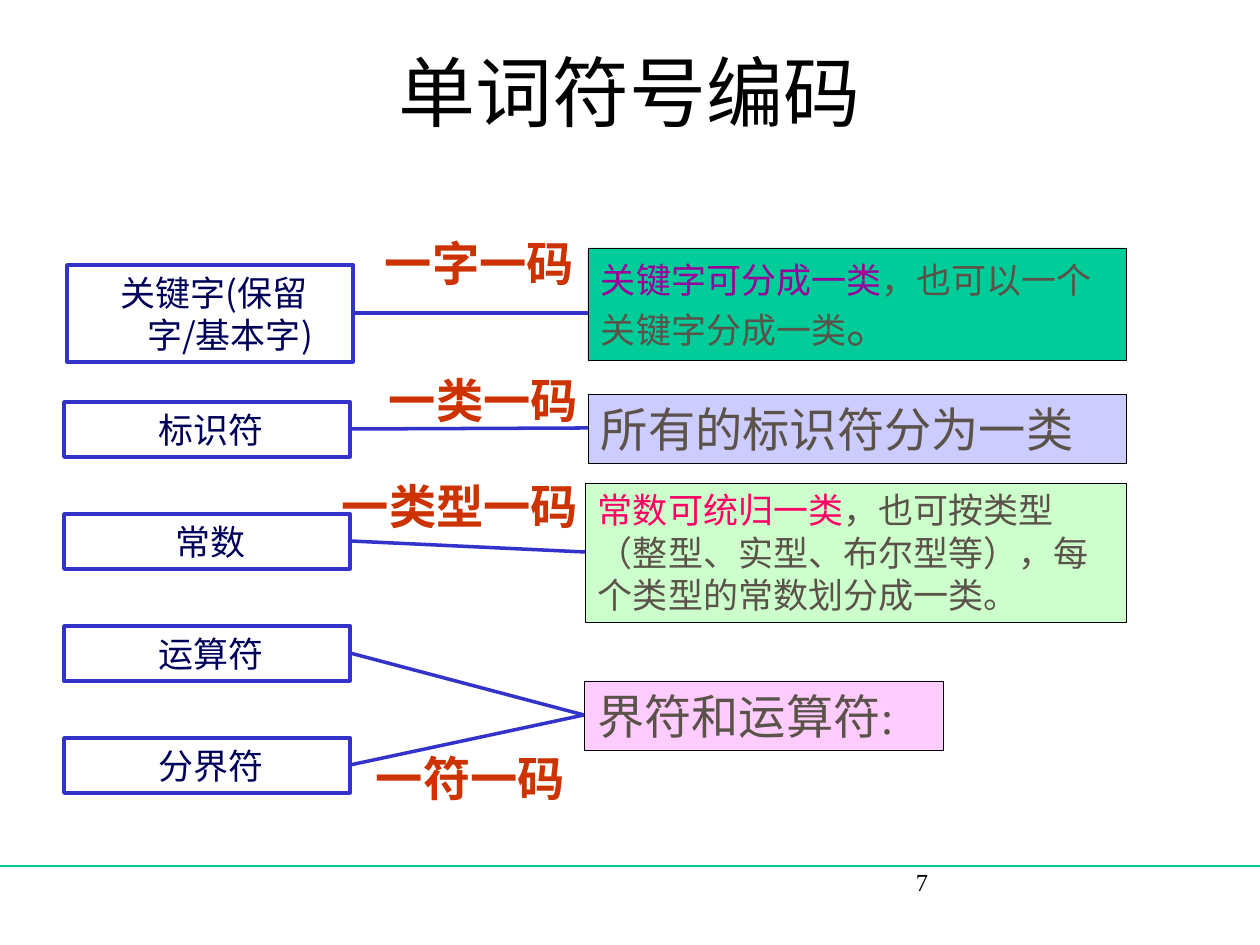
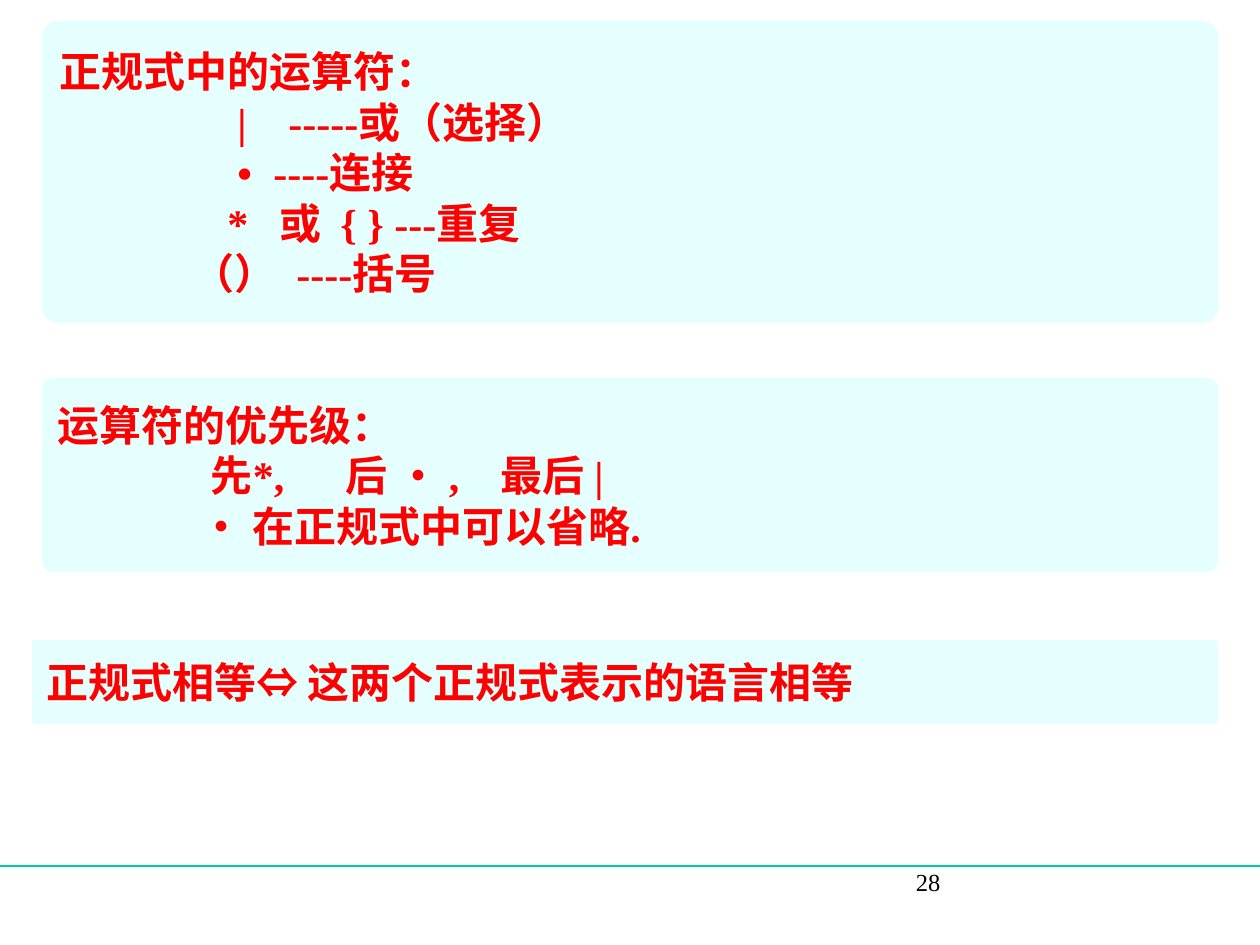
from typing import NamedTuple

from lxml.etree import SubElement
from pptx import Presentation
from pptx.dml.color import RGBColor
from pptx.enum.shapes import MSO_CONNECTOR as Link, MSO_SHAPE as Preset
from pptx.enum.text import MSO_ANCHOR as Anchor, PP_ALIGN as Align
from pptx.oxml.ns import qn
from pptx.util import Pt

SCALE = 914400 / 126
LATIN, HAN, SYMBOL = "Times New Roman", "Noto Sans CJK SC", "Arial"

BLACK = RGBColor(0x00, 0x00, 0x00)
WHITE = RGBColor(0xFF, 0xFF, 0xFF)
BLUE = RGBColor(0x33, 0x33, 0xCC)
NAVY = RGBColor(0x00, 0x00, 0x58)
TEAL = RGBColor(0x00, 0xCC, 0x99)
LAVENDER = RGBColor(0xCC, 0xCC, 0xFF)
MINT = RGBColor(0xCC, 0xFF, 0xCC)
PINK = RGBColor(0xFF, 0xCC, 0xFF)
AQUA = RGBColor(0xCC, 0xFF, 0xFF)
TAUPE = RGBColor(0x5B, 0x52, 0x49)
PURPLE = RGBColor(0x99, 0x00, 0x99)
MAGENTA = RGBColor(0xFF, 0x00, 0x66)
RUST = RGBColor(0xCC, 0x33, 0x00)
RED = RGBColor(0xFF, 0x00, 0x00)

FRAME = dict(margin_left=13, margin_right=13, margin_top=6, margin_bottom=6)


class Box(NamedTuple):
    left: int
    top: int
    width: int
    height: int

    def inner(self, left, top, width, height):
        return Box(self.left + left, self.top + top, width, height)

    @property
    def right(self):
        return self.left + self.width

    @property
    def middle(self):
        return self.top + self.height // 2


class Style(NamedTuple):
    size: int
    color: RGBColor
    bold: bool = False
    name: str = LATIN


TITLE = Style(44, BLACK)
PAGE = Style(14, BLACK)
TERM = Style(20, NAVY, name=HAN)
DETAIL = Style(20, TAUPE)
LARGE = Style(27, TAUPE)
RULE = Style(27, RUST, True)
STATEMENT = Style(24, RED, True)


def px(length):
    return round(length * SCALE)


def emu(box):
    return [px(length) for length in box]


def apply(target, values):
    for key, value in values.items():
        setattr(target, key, value)


def write(paragraph, runs, align=Align.LEFT, spacing=None, stops=(), hanging=None):
    properties = paragraph._p.get_or_add_pPr()
    if hanging:
        margin, indent = hanging
        properties.set("marL", str(px(margin)))
        properties.set("indent", str(px(indent)))
    if stops:
        tabs = SubElement(properties, qn("a:tabLst"))
        for stop in stops:
            SubElement(tabs, qn("a:tab"), pos=str(px(stop)), algn="l")
    spacing = spacing or max(style.size for _, style in runs) * 1.2
    apply(paragraph, dict(alignment=align, line_spacing=Pt(spacing)))
    for words, style in runs:
        run = paragraph.add_run()
        run.text = words
        apply(run.font, dict(size=Pt(style.size), bold=style.bold, name=style.name))
        run.font.color.rgb = style.color
        SubElement(run._r.get_or_add_rPr(), qn("a:ea"), typeface=HAN)


def set_frame(shape, anchor=Anchor.TOP, **margins):
    frame = shape.text_frame
    apply(frame, {key: px(value) for key, value in {**FRAME, **margins}.items()})
    apply(frame, dict(word_wrap=True, vertical_anchor=anchor))
    return frame


def add_text(slide, box, runs, align=Align.LEFT, **margins):
    frame = set_frame(slide.shapes.add_textbox(*emu(box)), **margins)
    write(frame.paragraphs[0], runs, align)


def add_panel(slide, box, fill, border=None, weight=0, preset=Preset.RECTANGLE):
    panel = slide.shapes.add_shape(preset, *emu(box))
    panel.shadow.inherit = False
    panel.fill.solid()
    panel.fill.fore_color.rgb = fill
    if border is None:
        panel.line.fill.background()
    else:
        panel.line.color.rgb = border
        panel.line.width = Pt(weight)
    return panel


def add_line(slide, start, end, color, weight):
    line = slide.shapes.add_connector(Link.STRAIGHT, *emu((*start, *end)))
    line.line.color.rgb = color
    line.line.width = Pt(weight)
    SubElement(line._element.spPr, qn("a:effectLst"))


def add_footer(slide, page, number):
    edge = page.top + 866
    add_line(slide, (page.left, edge), (page.right, edge), TEAL, 0.75)
    add_text(slide, page.inner(903, 861, 262, 63), [(number, PAGE)])


def add_terms(slide, region):
    words = ["标识符", "常数", "运算符", "分界符"]
    terms = [(word, region.inner(0, 137 + 112 * row, 286, 55)) for row, word in enumerate(words)]
    terms.append(("关键字(保留字/基本字)", region.inner(3, 0, 286, 97)))
    for word, box in terms:
        frame = set_frame(add_panel(slide, box, WHITE, BLUE, 2))
        write(frame.paragraphs[0], [(word, TERM)], align=Align.CENTER, hanging=(40, -32))
    return dict(zip(["identifier", "constant", "operator", "delimiter", "keyword"],
                    [box for _, box in terms]))


def add_notes(slide, region):
    notes = {
        "symbol": (region.inner(0, 433, 359, 69), PINK, [("界符和运算符:", LARGE)], {}, {}),
        "keyword": (region.inner(4, 0, 538, 112), TEAL,
                    [("关键字可分成一类", DETAIL._replace(color=PURPLE)),
                     ("，也可以一个关键字分成一类", DETAIL), ("。", LARGE)],
                    dict(margin_top=0), dict(spacing=30)),
        "constant": (region.inner(1, 235, 541, 139), MINT,
                     [("常数可统归一类", DETAIL._replace(color=MAGENTA)),
                      ("，也可按类型（整型、实型、布尔型等），每个类型的常数划分成一类。", DETAIL)],
                     {}, {}),
        "identifier": (region.inner(4, 146, 538, 69), LAVENDER,
                       [("所有的标识符分为一类", LARGE)], {}, {}),
    }
    for box, fill, runs, margins, layout in notes.values():
        frame = set_frame(add_panel(slide, box, fill, BLACK, 0.25), **margins)
        write(frame.paragraphs[0], runs, **layout)
    return {key: note[0] for key, note in notes.items()}


def add_rules(slide, region):
    rules = [("一字一码", 43, 0, 252), ("一类型一码", 0, 243, 261),
             ("一类一码", 47, 137, 214), ("一符一码", 34, 515, 214)]
    for words, left, top, width in rules:
        add_text(slide, region.inner(left, top, width, 69), [(words, RULE)], margin_right=0)


def add_links(slide, terms, notes):
    pairs = [("operator", "symbol"), ("delimiter", "symbol"), ("keyword", "keyword"),
             ("identifier", "identifier"), ("constant", "constant")]
    for term, note in pairs:
        start, end = terms[term], notes[note]
        landing = start.middle if term == "keyword" else end.middle
        add_line(slide, (start.right, start.middle), (end.left, landing), BLUE, 2)


def build_coding(slide, page):
    add_text(slide, page.inner(63, 38, 1134, 158), [("单词符号编码", TITLE)], Align.CENTER)
    terms = add_terms(slide, page.inner(64, 265, 289, 528))
    notes = add_notes(slide, page.inner(584, 248, 542, 502))
    add_rules(slide, page.inner(329, 228, 261, 584))
    add_links(slide, terms, notes)


def add_statement(slide, box, rows):
    panel = add_panel(slide, box, AQUA, preset=Preset.ROUNDED_RECTANGLE)
    panel.adjustments[0] = 0.05
    tint = panel._element.spPr.find(qn("a:solidFill"))[0]
    SubElement(tint, qn("a:alpha"), val="50000")
    frame = set_frame(panel, anchor=Anchor.MIDDLE)
    for index, (runs, stops) in enumerate(rows):
        paragraph = frame.add_paragraph() if index else frame.paragraphs[0]
        write(paragraph, runs, stops=stops)


def build_operators(slide, page):
    def row(words, *stops):
        return [(words, STATEMENT)], stops

    add_statement(slide, page.inner(42, 21, 1176, 302), [
        row("正规式中的运算符："),
        row("\t|\t-----或（选择）", 178, 229),
        row("\t•\t----连接", 178, 214),
        row("\t*\t或\t{ } ---重复", 168, 220, 281),
        row("\t（）\t----括号", 133, 237),
    ])
    add_statement(slide, page.inner(42, 378, 1176, 194), [
        row("运算符的优先级："),
        row("\t先*,\t后 • ,\t最后 |", 153, 288, 443),
        row("\t• 在正规式中可以省略.", 143),
    ])
    add_statement(slide, page.inner(32, 640, 1186, 84), [
        ([("正规式相等", STATEMENT), ("⇔", STATEMENT._replace(name=SYMBOL)),
          (" 这两个正规式表示的语言相等", STATEMENT)], ()),
    ])


def main():
    deck = Presentation()
    page = Box(0, 0, 1260, 945)
    apply(deck, dict(slide_width=px(page.width), slide_height=px(page.height)))
    for build, number in [(build_coding, "7"), (build_operators, "28")]:
        slide = deck.slides.add_slide(deck.slide_layouts[6])
        build(slide, page)
        add_footer(slide, page, number)
    deck.save("out.pptx")


if __name__ == "__main__":
    main()
